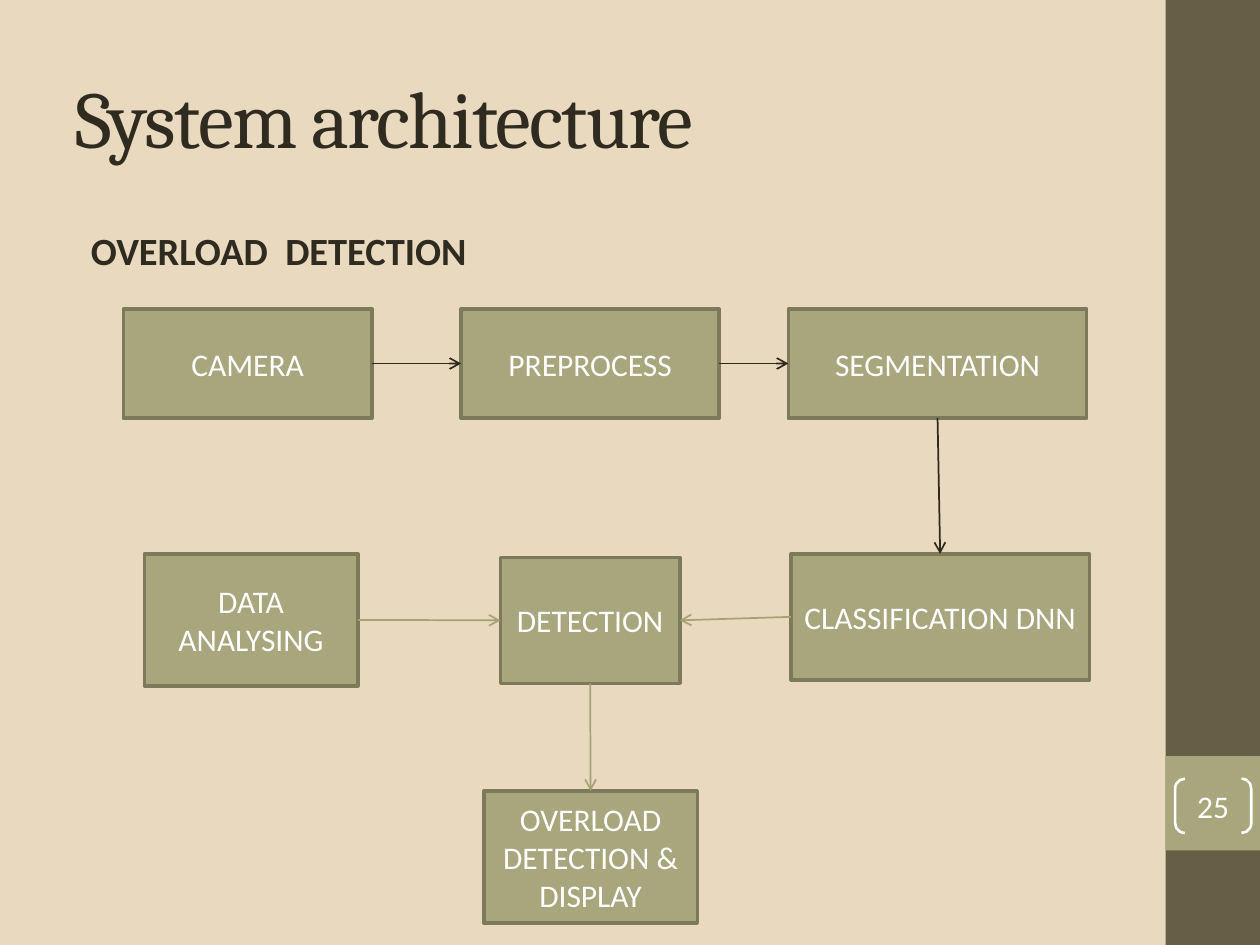
from dataclasses import dataclass

from lxml.etree import SubElement
from pptx import Presentation
from pptx.dml.color import RGBColor
from pptx.enum.shapes import MSO_CONNECTOR, MSO_SHAPE
from pptx.enum.text import MSO_ANCHOR, PP_ALIGN
from pptx.oxml.ns import qn
from pptx.util import Pt

COLORS = {
    "background": "E9D9BE",
    "sidebar": "675E47",
    "box": "A9A57C",
    "border": "7D7A5C",
    "text": "2F2B20",
    "white": "FFFFFF",
    "dark_arrow": "2E2A1F",
    "light_arrow": "A6A278",
}
TOP, LEFT, BOTTOM, RIGHT = range(4)  # connection sites of a rectangle


@dataclass
class Box:
    text: str
    left: float
    top: float
    width: float
    height: float


@dataclass
class Arrow:
    start: str
    start_site: int
    end: str
    end_site: int
    color: str


BOXES = {
    "camera": Box("CAMERA", 70.5, 176.5, 142, 62.5),
    "preprocess": Box("PREPROCESS", 263.5, 176.5, 147.5, 62.5),
    "segmentation": Box("SEGMENTATION", 450.5, 176.5, 170.5, 62.5),
    "classification": Box("CLASSIFICATION DNN", 452, 316.5, 170.5, 72),
    "detection": Box("DETECTION", 286, 318.5, 102.5, 72),
    "analysis": Box("DATA ANALYSING", 82.5, 316.5, 122, 75.5),
    "display": Box("OVERLOAD DETECTION & DISPLAY", 276.5, 452, 122, 75.5),
}
ARROWS = [
    Arrow("camera", RIGHT, "preprocess", LEFT, "dark_arrow"),
    Arrow("preprocess", RIGHT, "segmentation", LEFT, "dark_arrow"),
    Arrow("segmentation", BOTTOM, "classification", TOP, "dark_arrow"),
    Arrow("classification", LEFT, "detection", RIGHT, "light_arrow"),
    Arrow("analysis", RIGHT, "detection", LEFT, "light_arrow"),
    Arrow("detection", BOTTOM, "display", TOP, "light_arrow"),
]


def rgb(name: str) -> RGBColor:
    return RGBColor.from_string(COLORS[name])


def set_text(sp, text: str, size: float, color: str, font="Calibri",
             bold=False, align=PP_ALIGN.CENTER, anchor=MSO_ANCHOR.MIDDLE):
    tf = sp.text_frame
    tf.word_wrap = True
    tf.vertical_anchor = anchor
    p = tf.paragraphs[0]
    p.text = text
    p.alignment = align
    p.font.name = font
    p.font.size = Pt(size)
    p.font.bold = bold
    p.font.color.rgb = rgb(color)
    return p


def add_panel(s, box: Box, fill=None, line=None, weight=2.0,
              kind=MSO_SHAPE.RECTANGLE, inset=6):
    """Add a shape with its optional fill, outline and centred label."""
    sp = s.shapes.add_shape(kind, Pt(box.left), Pt(box.top),
                            Pt(box.width), Pt(box.height))
    sp.shadow.inherit = False
    if fill:
        sp.fill.solid()
        sp.fill.fore_color.rgb = rgb(fill)
    else:
        sp.fill.background()
    if line:
        sp.line.color.rgb = rgb(line)
        sp.line.width = Pt(weight)
    else:
        sp.line.fill.background()
    if box.text:
        sp.text_frame.margin_left = sp.text_frame.margin_right = Pt(inset)
        set_text(sp, box.text, 18, "white")
    return sp


def add_arrow(s, arrow: Arrow, nodes: dict) -> None:
    c = s.shapes.add_connector(MSO_CONNECTOR.STRAIGHT, 0, 0, 0, 0)
    c.begin_connect(nodes[arrow.start], arrow.start_site)
    c.end_connect(nodes[arrow.end], arrow.end_site)
    c.line.color.rgb = rgb(arrow.color)
    c.line.width = Pt(1)
    SubElement(c.line._get_or_add_ln(), qn("a:tailEnd"), type="arrow")
    SubElement(c._element.spPr, qn("a:effectLst"))


def add_headings(s) -> None:
    title = s.shapes.title
    title.left, title.top = Pt(36), Pt(21.5)
    title.width, title.height = Pt(600), Pt(90)
    p = set_text(title, "System architecture", 46, "text", "Cambria",
                 align=PP_ALIGN.LEFT)
    p.runs[0].font._element.set("spc", "-100")

    subtitle = s.shapes.add_textbox(Pt(36), Pt(126), Pt(600), Pt(40))
    subtitle.text_frame.margin_left = Pt(16)
    set_text(subtitle, "OVERLOAD  DETECTION", 22, "text", bold=True,
             align=PP_ALIGN.LEFT, anchor=MSO_ANCHOR.TOP)


def add_sidebar(s) -> None:
    add_panel(s, Box("", 666, 0, 54, 540), "sidebar")
    add_panel(s, Box("", 666, 432, 54, 54), "box")
    number = add_panel(s, Box("25", 671.5, 445, 43.5, 31), line="white",
                       weight=1.5, kind=MSO_SHAPE.DOUBLE_BRACKET, inset=0)
    number.adjustments[0] = 0.18
    number.text_frame.margin_top = number.text_frame.margin_bottom = 0


def main() -> None:
    prs = Presentation()
    prs.slide_width, prs.slide_height = Pt(720), Pt(540)
    s = prs.slides.add_slide(prs.slide_layouts[5])
    s.background.fill.solid()
    s.background.fill.fore_color.rgb = rgb("background")
    add_sidebar(s)
    add_headings(s)
    nodes = {name: add_panel(s, box, "box", "border")
             for name, box in BOXES.items()}
    for arrow in ARROWS:
        add_arrow(s, arrow, nodes)
    prs.save("out.pptx")


if __name__ == "__main__":
    main()
